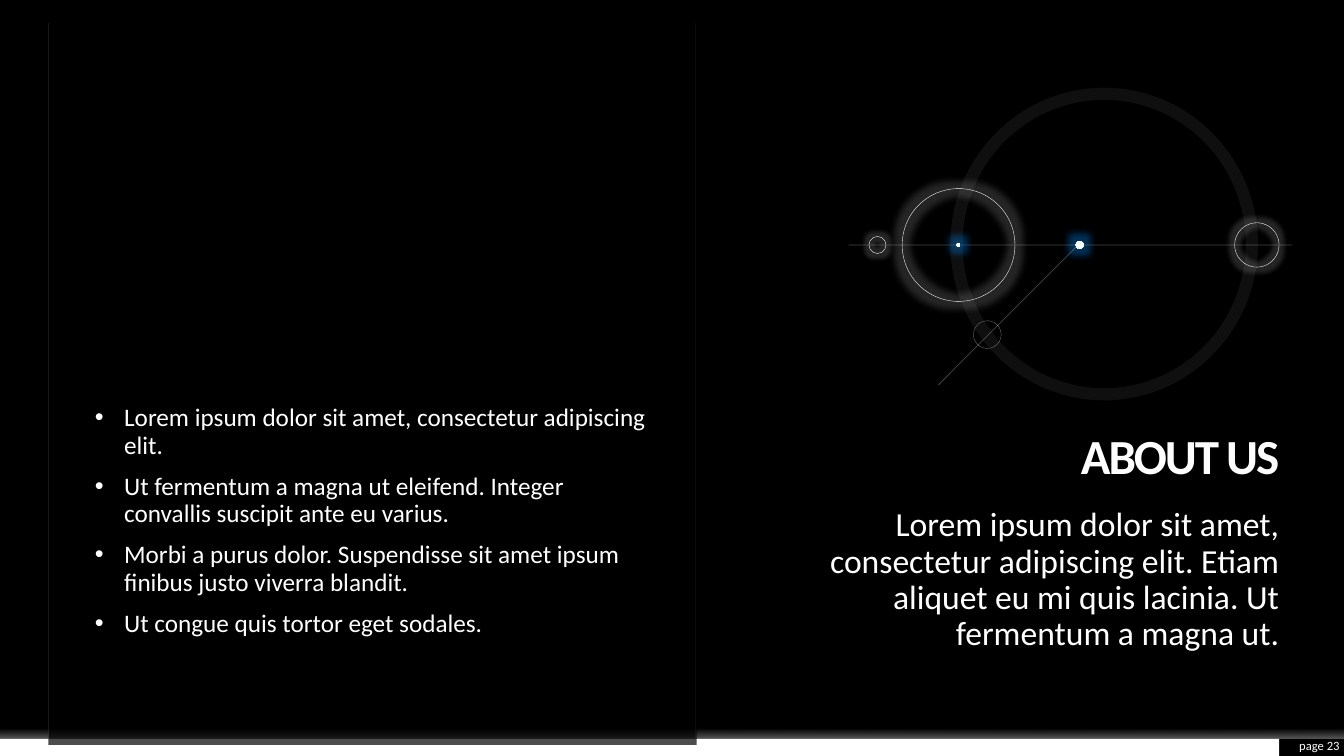
from lxml import etree
from pptx import Presentation
from pptx.dml.color import RGBColor
from pptx.enum.dml import MSO_LINE
from pptx.enum.shapes import MSO_CONNECTOR, MSO_SHAPE
from pptx.enum.text import MSO_ANCHOR, MSO_AUTO_SIZE, PP_ALIGN
from pptx.oxml.ns import qn
from pptx.util import Pt

WHITE = RGBColor(0xFF, 0xFF, 0xFF)
BLACK = RGBColor(0x00, 0x00, 0x00)
PALE = RGBColor(0xF2, 0xF2, 0xF2)
SILVER = RGBColor(0xE7, 0xE6, 0xE6)
GRAY = RGBColor(0x80, 0x80, 0x80)
ICE = RGBColor(0xF7, 0xFF, 0xFF)
SKY = RGBColor(0xC1, 0xE4, 0xFF)
BLUE = RGBColor(0x00, 0x78, 0xD8)
FONT = "Calibri"
RECTANGLE, OVAL = MSO_SHAPE.RECTANGLE, MSO_SHAPE.OVAL
STRAIGHT = MSO_CONNECTOR.STRAIGHT
DOTTED = MSO_LINE.SQUARE_DOT
LEFT, RIGHT = PP_ALIGN.LEFT, PP_ALIGN.RIGHT
TOP, MIDDLE, BOTTOM = MSO_ANCHOR.TOP, MSO_ANCHOR.MIDDLE, MSO_ANCHOR.BOTTOM
NO_FIT = MSO_AUTO_SIZE.NONE

INTRO = ("Lorem ipsum dolor sit amet, consectetur adipiscing elit. "
         "Etiam aliquet eu mi quis lacinia. Ut fermentum a magna ut.")
POINTS = [
    "Lorem ipsum dolor sit amet, consectetur adipiscing elit.",
    "Ut fermentum a magna ut eleifend. Integer convallis suscipit ante eu varius.",
    "Morbi a purus dolor. Suspendisse sit amet ipsum finibus justo viverra blandit.",
    "Ut congue quis tortor eget sodales.",
]


def add_color(parent, color, opacity=100):
    """Append a colour with an opacity in percent."""
    node = etree.SubElement(parent, qn("a:srgbClr"), val=str(color))
    if opacity < 100:
        etree.SubElement(node, qn("a:alpha"), val=str(opacity * 1000))


def set_opacity(fill_parent, opacity):
    """Make the solid colour below an element partly transparent."""
    color = fill_parent.find(qn("a:solidFill")).find(qn("a:srgbClr"))
    etree.SubElement(color, qn("a:alpha"), val=str(opacity * 1000))


def set_gradient(shape, stops, radial=False):
    """Fill a shape with (position, colour, opacity) stops."""
    shape.fill.background()
    empty = shape._element.spPr.find(qn("a:noFill"))
    gradient = etree.Element(qn("a:gradFill"), rotWithShape="1")
    stop_list = etree.SubElement(gradient, qn("a:gsLst"))
    for position, color, opacity in stops:
        stop = etree.SubElement(stop_list, qn("a:gs"), pos=str(position * 1000))
        add_color(stop, color, opacity)
    if radial:
        center = etree.SubElement(gradient, qn("a:path"), path="circle")
        etree.SubElement(center, qn("a:fillToRect"), l="50000", t="50000", r="50000", b="50000")
    else:
        etree.SubElement(gradient, qn("a:lin"), ang="5400000", scaled="0")
    empty.getparent().replace(empty, gradient)


def add_glow(shape, color, radius, opacity):
    """Surround a shape with a soft glow."""
    effects = shape._element.spPr.find(qn("a:effectLst"))
    add_color(etree.SubElement(effects, qn("a:glow"), rad=str(Pt(radius))), color, opacity)


def add_panel(slide, box, color):
    """Add a borderless filled rectangle."""
    panel = slide.shapes.add_shape(RECTANGLE, *map(Pt, box))
    panel.shadow.inherit = False
    panel.fill.solid()
    panel.fill.fore_color.rgb = color
    panel.line.fill.background()
    return panel


def add_rule(slide, start, end, color, width, opacity):
    """Add a thin translucent straight line."""
    rule = slide.shapes.add_connector(STRAIGHT, *map(Pt, (*start, *end)))
    rule.line.color.rgb = color
    rule.line.width = Pt(width)
    set_opacity(rule.line._get_or_add_ln(), opacity)
    etree.SubElement(rule._element.spPr, qn("a:effectLst"))


def add_circle(slide, center, width, height=None):
    """Add an unfilled ellipse around a centre."""
    height = height or width
    box = (center[0] - width / 2, center[1] - height / 2, width, height)
    circle = slide.shapes.add_shape(OVAL, *map(Pt, box))
    circle.shadow.inherit = False
    circle.fill.background()
    circle.line.color.rgb = WHITE
    circle.line.width = Pt(0.25)
    return circle


def add_dot(slide, center, size):
    """Add a bright dot with a blue glow."""
    dot = add_circle(slide, center, size)
    set_gradient(dot, [(0, WHITE, 100), (65, ICE, 100), (70, SKY, 100)], radial=True)
    dot.line.fill.background()
    add_glow(dot, BLUE, 10, 40)


def write_text(shape, box, lines, size, align=LEFT, anchor=TOP, spacing=0.9, bullets=False):
    """Place a text shape in its box and fill it with paragraphs."""
    shape.left, shape.top, shape.width, shape.height = map(Pt, box)
    frame = shape.text_frame
    frame.word_wrap = True
    frame.auto_size = NO_FIT
    frame.vertical_anchor = anchor
    frame.margin_left = frame.margin_top = frame.margin_right = frame.margin_bottom = 0
    for index, line in enumerate(lines):
        para = frame.add_paragraph() if index else frame.paragraphs[0]
        para.alignment = align
        para.line_spacing = spacing
        para.space_before = Pt(10 if index else 0)
        if bullets:
            properties = para._p.get_or_add_pPr()
            properties.set("marL", str(Pt(21)))
            properties.set("indent", str(Pt(-21)))
            etree.SubElement(properties, qn("a:buFont"), typeface="Arial")
            etree.SubElement(properties, qn("a:buChar"), char="•")
        span = para.add_run()
        span.text = line
        span.font.name = FONT
        span.font.size = Pt(size)
        span.font.color.rgb = WHITE


def build_frame(slide, box):
    """Draw the bottom band, the left panel and its side rules."""
    left, top, width, height = box
    bottom = top + height
    add_panel(slide, (left, bottom - 12.25, 913.7, 12.25), WHITE)
    fade = add_panel(slide, (left, bottom - 24.5, width, 12.25), WHITE)
    set_gradient(fade, [(40, WHITE, 0), (100, WHITE, 35)])
    panel = add_panel(slide, (left + 34.6, top + 306.7, 463, 225.4), BLACK)
    set_opacity(panel._element.spPr, 70)
    for x in (left + 496.8, left + 34.6):
        add_rule(slide, (x, top + 16.6), (x, bottom - 12.25), PALE, 0.25, 15)


def build_orbit(slide, box):
    """Draw the orbit of circles, dots and lines."""
    left, top, width, height = box
    axis = top + 108
    for x, size, radius in ((78.5, 80.6, 10), (291.6, 31.7, 7), (20.6, 12.2, 6)):
        add_glow(add_circle(slide, (left + x, axis), size), WHITE, radius, 15)
    add_dot(slide, (left + 165, axis), 5.8)
    ring = add_circle(slide, (left + 182.5, top + height / 2), 211, height)
    ring.line.width = Pt(8.75)
    set_opacity(ring.line._get_or_add_ln(), 6)
    add_rule(slide, (left, axis), (left + width, axis), SILVER, 0.5, 30)
    add_dot(slide, (left + 78.5, axis), 2.9)
    satellite = add_circle(slide, (left + 99, top + 172), 19.8)
    satellite.line.color.rgb = GRAY
    satellite.line.dash_style = DOTTED
    add_rule(slide, (left + 64, axis + 100), (left + 164, axis), SILVER, 0.5, 30)


def build_heading(slide, box):
    """Place the title and the introduction below it."""
    left, top, width, height = box
    title = slide.shapes.title
    write_text(title, (left, top, width, 56.9), ["ABOUT US"], 35, RIGHT, BOTTOM)
    font = title.text_frame.paragraphs[0].runs[0].font
    font.bold = True
    font._element.set("spc", "-150")
    intro_box = (left + width - 324.7, top + 73.4, 324.7, height - 73.4)
    intro = slide.shapes.add_textbox(*map(Pt, intro_box))
    write_text(intro, intro_box, [INTRO], 24, RIGHT)


def build_points(slide, box):
    """Place the bulleted list."""
    points = slide.shapes.add_textbox(*map(Pt, box))
    write_text(points, box, POINTS, 18, bullets=True)


def build_page_number(slide, box):
    """Place the page number."""
    number = slide.shapes.add_textbox(*map(Pt, box))
    write_text(number, box, ["page 23"], 9, RIGHT, MIDDLE, 1.0)


def main():
    """Build and save the deck."""
    deck = Presentation()
    deck.slide_width, deck.slide_height = Pt(960), Pt(540)
    slide = deck.slides.add_slide(deck.slide_layouts[5])
    slide.background.fill.solid()
    slide.background.fill.fore_color.rgb = BLACK
    build_frame(slide, (0, 0, 960, 540))
    build_points(slide, (67.7, 289.4, 395.3, 214.6))
    build_orbit(slide, (606.2, 67, 316.8, 214.6))
    build_heading(slide, (513.4, 289.4, 400.3, 215.3))
    build_page_number(slide, (913.7, 526.3, 43.2, 12.2))
    deck.save("out.pptx")


if __name__ == "__main__":
    main()
